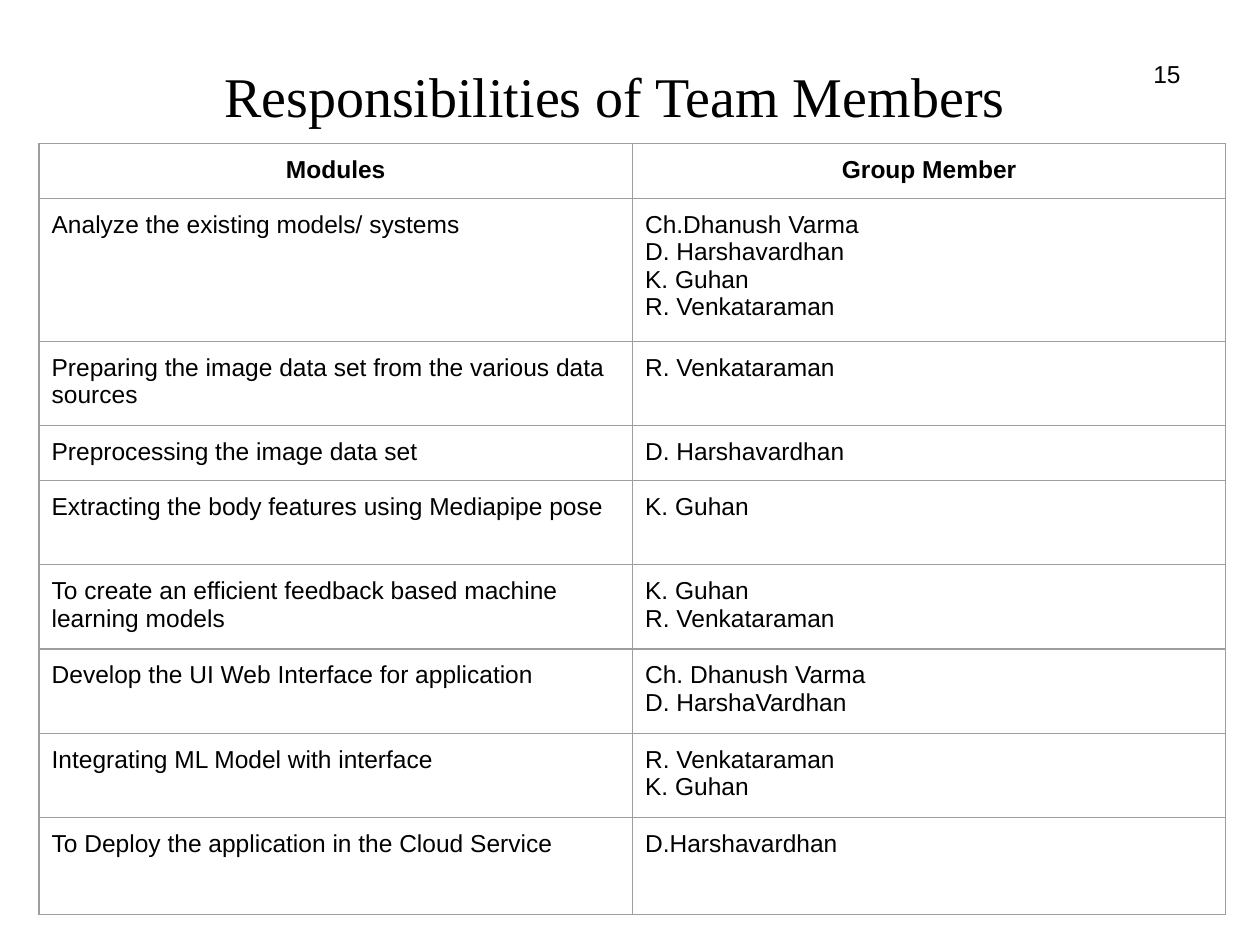
from dataclasses import dataclass

from lxml.etree import SubElement
from pptx import Presentation
from pptx.dml.color import RGBColor
from pptx.enum.text import MSO_ANCHOR, PP_ALIGN
from pptx.oxml.ns import qn
from pptx.util import Inches, Pt


@dataclass(frozen=True)
class Theme:
    text: str = "000000"
    paper: str = "FFFFFF"
    border: str = "9E9E9E"
    border_width: float = 0.75
    title_font: str = "Times New Roman"
    body_font: str = "Arial"
    title_size: int = 32
    body_size: int = 14
    frame_inset: float = 0.05
    cell_inset: float = 0.1


class SlideBuilder:
    def __init__(self, slide, theme):
        self.slide = slide
        self.theme = theme

    def add_lines(self, frame, lines, font, size, align, bold=False):
        for index, line in enumerate(lines):
            paragraph = frame.paragraphs[0] if index == 0 else frame.add_paragraph()
            paragraph.alignment = align
            run = paragraph.add_run()
            run.text = line
            run.font.name = font
            run.font.size = Pt(size)
            run.font.bold = bold
            run.font.color.rgb = RGBColor.from_string(self.theme.text)

    def inset(self, holder, length):
        holder.margin_left = holder.margin_right = Inches(length)
        holder.margin_top = holder.margin_bottom = Inches(length)

    def title(self, text, left, top, width, height):
        heading = self.slide.shapes.title
        heading.left, heading.top = Inches(left), Inches(top)
        heading.width, heading.height = Inches(width), Inches(height)
        frame = heading.text_frame
        frame.word_wrap = True
        frame.vertical_anchor = MSO_ANCHOR.MIDDLE
        self.inset(frame, self.theme.frame_inset)
        self.add_lines(frame, [text], self.theme.title_font,
                       self.theme.title_size, PP_ALIGN.CENTER)

    def page_number(self, text, left, top, width, height):
        box = self.slide.shapes.add_textbox(
            Inches(left), Inches(top), Inches(width), Inches(height))
        frame = box.text_frame
        frame.word_wrap = True
        self.inset(frame, self.theme.frame_inset)
        self.add_lines(frame, [text], self.theme.body_font,
                       self.theme.body_size, PP_ALIGN.RIGHT)

    def border(self, cell):
        properties = cell._tc.get_or_add_tcPr()
        for side in ("a:lnL", "a:lnR", "a:lnT", "a:lnB"):
            line = SubElement(properties, qn(side), w=str(Pt(self.theme.border_width)))
            fill = SubElement(line, qn("a:solidFill"))
            SubElement(fill, qn("a:srgbClr"), val=self.theme.border)

    def cell(self, cell, lines, is_header):
        self.border(cell)
        cell.fill.solid()
        cell.fill.fore_color.rgb = RGBColor.from_string(self.theme.paper)
        self.inset(cell, self.theme.cell_inset)
        align = PP_ALIGN.CENTER if is_header else PP_ALIGN.LEFT
        self.add_lines(cell.text_frame, lines, self.theme.body_font,
                       self.theme.body_size, align, is_header)

    def table(self, header, rows, left, top, column_width, row_heights):
        table = self.slide.shapes.add_table(
            len(rows) + 1, len(header), Inches(left), Inches(top),
            Inches(column_width * len(header)), Inches(sum(row_heights))).table
        for column in table.columns:
            column.width = Inches(column_width)
        for row, height in zip(table.rows, row_heights):
            row.height = Inches(height)
        heading_row = [[label] for label in header]
        body_rows = [([module], members) for module, members in rows]
        for row_index, contents in enumerate([heading_row, *body_rows]):
            for column_index, lines in enumerate(contents):
                self.cell(table.cell(row_index, column_index), lines, row_index == 0)


RESPONSIBILITIES = [
    ("Analyze the existing models/ systems",
     ["Ch.Dhanush Varma", "D. Harshavardhan", "K. Guhan", "R. Venkataraman"]),
    ("Preparing the image data set from the various data sources", ["R. Venkataraman"]),
    ("Preprocessing the image data set", ["D. Harshavardhan"]),
    ("Extracting the body features using Mediapipe pose", ["K. Guhan"]),
    ("To create an efficient feedback based machine learning models",
     ["K. Guhan", "R. Venkataraman"]),
    ("Develop the UI Web Interface for application",
     ["Ch. Dhanush Varma", "D. HarshaVardhan"]),
    ("Integrating ML Model with interface", ["R. Venkataraman", "K. Guhan"]),
    ("To Deploy the application in the Cloud Service", ["D.Harshavardhan"]),
]
ONE_LINE, TWO_LINES, FOUR_LINES, LAST_ROW = 0.43, 0.67, 1.13, 0.77
ROW_HEIGHTS = [ONE_LINE, FOUR_LINES, TWO_LINES, ONE_LINE, *[TWO_LINES] * 4, LAST_ROW]


def main():
    presentation = Presentation()
    presentation.slide_width = Inches(10)
    presentation.slide_height = Inches(7.5)
    title_only = presentation.slide_layouts[5]
    builder = SlideBuilder(presentation.slides.add_slide(title_only), Theme())
    builder.title("Responsibilities of Team Members", 0.88, 0.27, 8, 0.97)
    builder.page_number("15", 9.1, 0.42, 0.32, 0.34)
    builder.table(["Modules", "Group Member"], RESPONSIBILITIES,
                  0.31, 1.14, 4.71, ROW_HEIGHTS)
    presentation.save("out.pptx")


if __name__ == "__main__":
    main()
